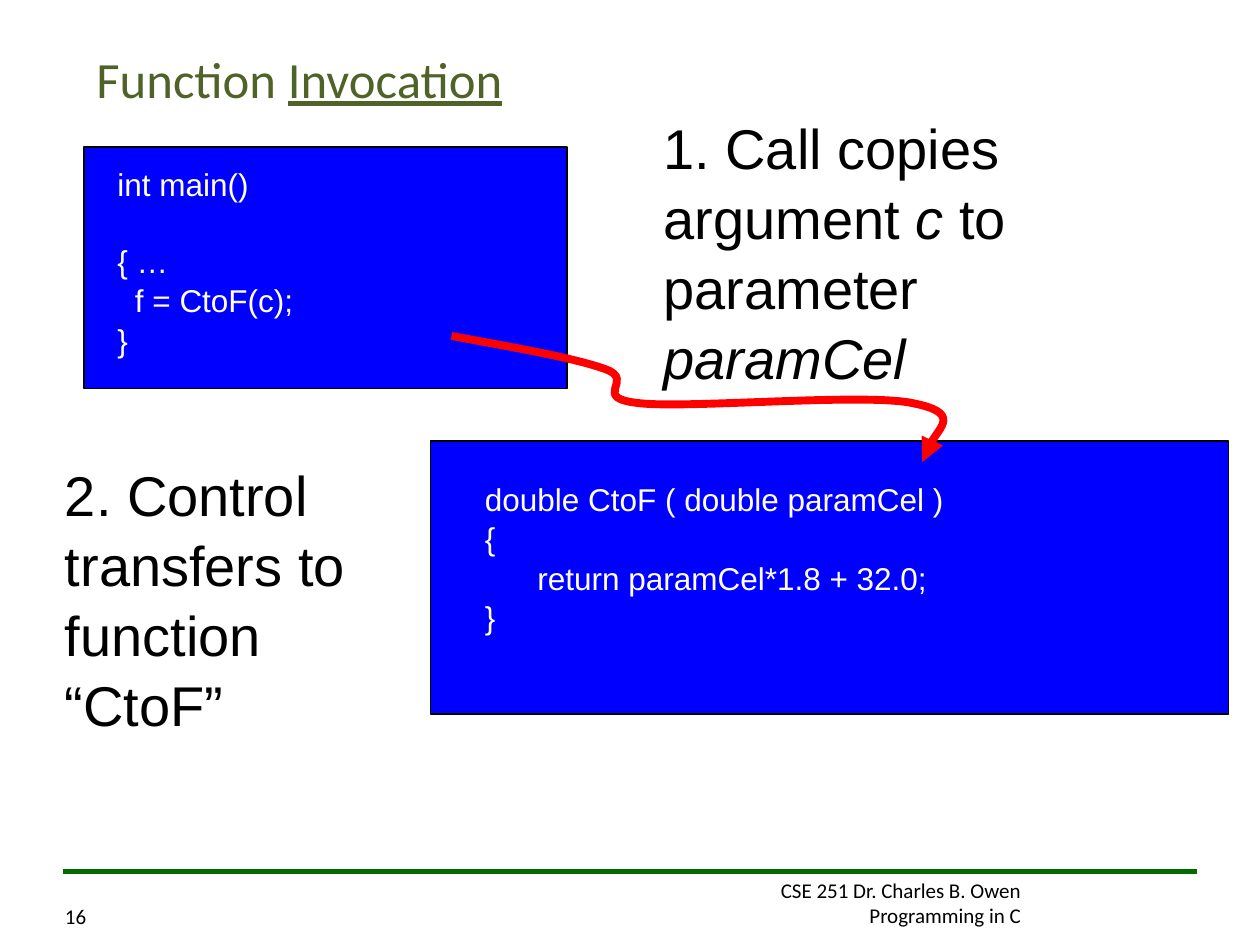
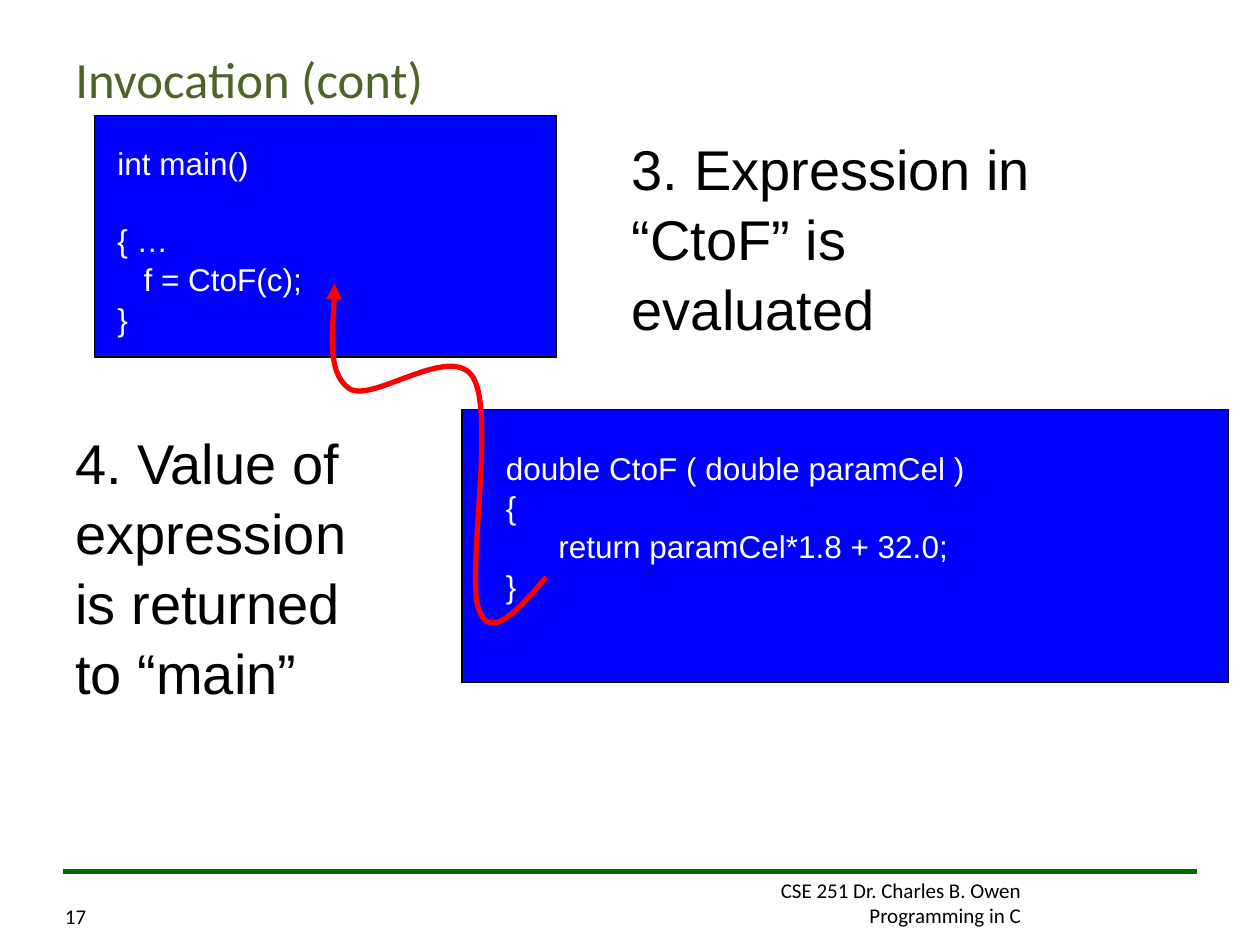
from dataclasses import dataclass

from lxml import etree
from pptx import Presentation
from pptx.dml.color import RGBColor
from pptx.enum.shapes import MSO_CONNECTOR, MSO_SHAPE
from pptx.enum.text import MSO_ANCHOR, PP_ALIGN
from pptx.oxml.ns import qn
from pptx.util import Pt

RECTANGLE = MSO_SHAPE.RECTANGLE
STRAIGHT = MSO_CONNECTOR.STRAIGHT
LEFT, RIGHT = PP_ALIGN.LEFT, PP_ALIGN.RIGHT
TOP, MIDDLE = MSO_ANCHOR.TOP, MSO_ANCHOR.MIDDLE


@dataclass(frozen=True)
class Theme:
    black: RGBColor = RGBColor(0, 0, 0)
    white: RGBColor = RGBColor(255, 255, 255)
    title_green: RGBColor = RGBColor(0x4F, 0x62, 0x28)
    rule_green: RGBColor = RGBColor(0, 0x6C, 0)
    code_blue: RGBColor = RGBColor(0, 0, 255)
    arrow_red: RGBColor = RGBColor(255, 0, 0)
    heading_font: str = "Calibri"
    body_font: str = "Arial"
    title_size: float = 29
    note_size: float = 32
    code_size: float = 18
    footer_size: float = 12
    body_spacing: float = 1.04


THEME = Theme()
CODE_LINE = 21.5  # height of one line of code

# Lines of code are (text, indent); boxes are (left, top, width, height).
CTOF_CODE = [("double CtoF ( double paramCel )", 0), ("{", 0),
             ("return paramCel*1.8 + 32.0;", 30), ("}", 0)]
MAIN_START = [("int main()", 0), ("{ …", 0)]

SLIDES = [
    {
        "number": "16",
        "title": ["Function ", "Invocation"],
        "title_box": (48, 22, 636, 45),
        "code": [
            ((246, 252, 456, 156), (270, 270, 432, 94), CTOF_CODE),
            ((48, 84, 276, 138), (60, 90, 270, 115),
             MAIN_START + [("f = CtoF(c);", 10), ("}", 0)]),
        ],
        "notes": [
            ((372, 60, 252, 161),
             ["1. Call copies argument ", "c", " to parameter ", "paramCel"]),
            ((30, 258, 198, 161), ["2. Control transfers to function “CtoF”"]),
        ],
        "arrow_width": 4.5,
        "arrow": [(258, 192),
                  (293, 198.5), (328, 204.5), (346, 211),
                  (364, 217.5), (336, 227.5), (366, 230.5),
                  (395, 233.5), (495, 224.5), (522, 230.5),
                  (549.5, 236), (526.5, 258.5), (527, 264)],
    },
    {
        "number": "17",
        "title": ["Invocation (cont)"],
        "title_box": (36, 22, 648, 45),
        "code": [
            ((264, 234, 438, 156), (282, 252, 408, 94), CTOF_CODE),
            ((54, 66, 264, 138), (60, 78, 294, 115),
             MAIN_START + [("f = CtoF(c);", 15), ("}", 0)]),
        ],
        "notes": [
            ((354, 72, 252, 122), ["3. Expression in “CtoF” is evaluated"]),
            ((36, 240, 198, 161),
             ["4. Value of expression is returned to “main”"]),
        ],
        "arrow_width": 3,
        "arrow": [(312, 330),
                  (296, 348.5), (280, 367), (273.5, 348),
                  (266.5, 329), (283, 237), (270.5, 216),
                  (258.5, 195), (212.5, 231), (199.5, 222),
                  (186, 213), (192, 172), (191, 162)],
    },
]


def add_text(slide, box, lines, font, size, color,
             align=LEFT, anchor=TOP, spacing=1.0):
    """Add a text box; each line is a list of runs. Return its paragraphs."""
    frame = slide.shapes.add_textbox(*map(Pt, box)).text_frame
    frame.word_wrap = True
    frame.vertical_anchor = anchor
    for index, runs in enumerate(lines):
        paragraph = frame.add_paragraph() if index else frame.paragraphs[0]
        paragraph.alignment = align
        paragraph.line_spacing = spacing
        for text in runs:
            run = paragraph.add_run()
            run.text = text
            run.font.name = font
            run.font.size = Pt(size)
            run.font.color.rgb = color
    return frame.paragraphs


def add_curved_arrow(slide, points, width):
    """Draw cubic curves; each three points after the first make one curve."""
    points = [(Pt(x), Pt(y)) for x, y in points]
    builder = slide.shapes.build_freeform(*points[0])
    builder.add_line_segments(points[1:], close=False)
    arrow = builder.convert_to_shape()
    arrow.shadow.inherit = False
    arrow.fill.background()
    arrow.line.color.rgb = THEME.arrow_red
    arrow.line.width = Pt(width)
    # Join the straight segments by threes into cubic curves
    outline = next(arrow.element.iter(qn("a:path")))
    segments = outline.findall(qn("a:lnTo"))
    for start in range(0, len(segments), 3):
        curve = etree.SubElement(outline, qn("a:cubicBezTo"))
        for segment in segments[start:start + 3]:
            curve.append(segment[0])
            outline.remove(segment)
    line = arrow.line._get_or_add_ln()
    etree.SubElement(line, qn("a:tailEnd"), type="triangle")


prs = Presentation()
prs.slide_width, prs.slide_height = Pt(720), Pt(540)
blank = prs.slide_layouts[6]

for content in SLIDES:
    slide = prs.slides.add_slide(blank)

    # Footer: course, rule and page number
    add_text(slide, (348, 498, 242.5, 36),
             [["CSE 251 Dr. Charles B. Owen"], ["Programming in C"]],
             THEME.heading_font, THEME.footer_size, THEME.black, align=RIGHT)
    rule = slide.shapes.add_connector(STRAIGHT, Pt(684), Pt(498), Pt(36), Pt(498))
    rule.line.color.rgb = THEME.rule_green
    rule.line.width = Pt(3)
    etree.SubElement(rule.element.spPr, qn("a:effectLst"))
    add_text(slide, (30, 512.7, 29, 22), [[content["number"]]],
             THEME.heading_font, THEME.footer_size, THEME.black)

    # Title, with its second run underlined
    title = add_text(slide, content["title_box"], [content["title"]],
                     THEME.heading_font, THEME.title_size, THEME.title_green,
                     anchor=MIDDLE)
    for run in title[0].runs[1:]:
        run.font.underline = True

    # Code panels
    for panel_box, code_box, code in content["code"]:
        panel = slide.shapes.add_shape(RECTANGLE, *map(Pt, panel_box))
        panel.shadow.inherit = False
        panel.fill.solid()
        panel.fill.fore_color.rgb = THEME.code_blue
        panel.line.color.rgb = THEME.black
        panel.line.width = Pt(0.75)
        code_lines = add_text(slide, code_box, [[text] for text, _ in code],
                              THEME.body_font, THEME.code_size, THEME.white,
                              spacing=THEME.body_spacing)
        for paragraph, (text, indent) in zip(code_lines, code):
            paragraph._p.get_or_add_pPr().set("marL", str(Pt(indent)))
            if text == "int main()":
                paragraph.space_after = Pt(CODE_LINE)

    # Numbered steps, with variable names (every second run) in italics
    for note_box, runs in content["notes"]:
        note = add_text(slide, note_box, [runs], THEME.body_font,
                        THEME.note_size, THEME.black,
                        spacing=THEME.body_spacing)
        for run in note[0].runs[1::2]:
            run.font.italic = True

    # Arrow between caller and function
    add_curved_arrow(slide, content["arrow"], content["arrow_width"])

prs.save("out.pptx")
